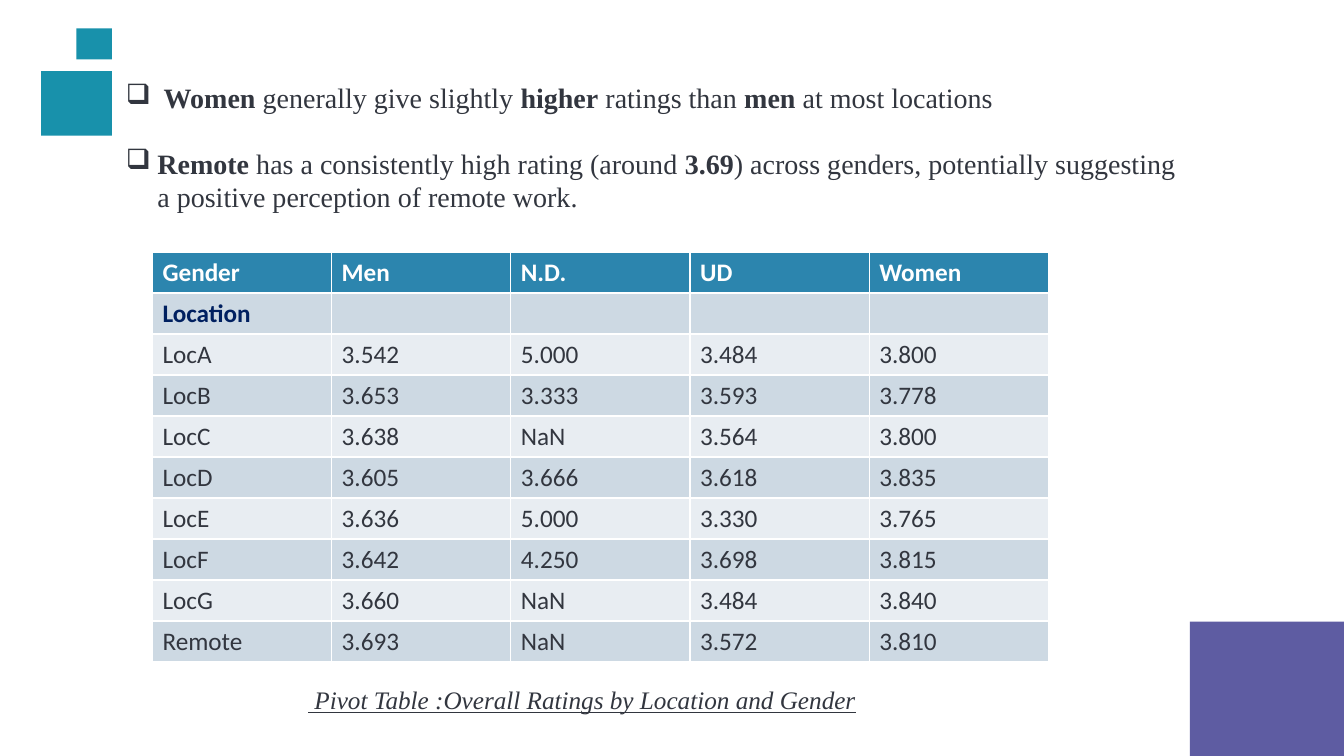
from lxml.etree import SubElement
from pptx import Presentation
from pptx.dml.color import RGBColor
from pptx.enum.shapes import MSO_SHAPE
from pptx.enum.text import MSO_ANCHOR
from pptx.oxml.ns import qn
from pptx.util import Pt

COLORS = {
    "teal": "1891AB",
    "purple": "5E5CA2",
    "header": "2C85AE",
    "dark band": "CDD9E3",
    "light band": "E8EDF2",
    "text": "32363F",
    "navy": "002060",
    "white": "FFFFFF",
}
SERIF, SANS = "Times New Roman", "Calibri"

FINDINGS = [
    (27, [("Women ", True), ("generally give slightly ", False), ("higher", True),
          (" ratings than ", False), ("men", True), (" at most locations", False)]),
    (22.5, [("Remote", True), (" has a consistently high rating (around ", False),
            ("3.69", True),
            (") across genders, potentially suggesting a positive perception of remote work.",
             False)]),
]
RATINGS = [
    ["Gender", "Men", "N.D.", "UD", "Women"],
    ["Location", "", "", "", ""],
    ["LocA", "3.542", "5.000", "3.484", "3.800"],
    ["LocB", "3.653", "3.333", "3.593", "3.778"],
    ["LocC", "3.638", "NaN", "3.564", "3.800"],
    ["LocD", "3.605", "3.666", "3.618", "3.835"],
    ["LocE", "3.636", "5.000", "3.330", "3.765"],
    ["LocF", "3.642", "4.250", "3.698", "3.815"],
    ["LocG", "3.660", "NaN", "3.484", "3.840"],
    ["Remote", "3.693", "NaN", "3.572", "3.810"],
]


def color(name):
    return RGBColor.from_string(COLORS[name])


def add_span(para, text, size, face, tint="text", bold=False):
    span = para.add_run()
    span.text = text
    span.font.size = Pt(size)
    span.font.name = face
    span.font.bold = bold
    span.font.color.rgb = color(tint)
    return span


def set_indent(para, margin, first_line=0):
    properties = para._p.get_or_add_pPr()
    properties.set("marL", str(Pt(margin)))
    properties.set("indent", str(Pt(first_line)))
    return properties


def add_text_frame(page, box):
    frame = page.shapes.add_textbox(*map(Pt, box)).text_frame
    frame.word_wrap = True
    return frame


def add_square(page, box, tint):
    square = page.shapes.add_shape(MSO_SHAPE.RECTANGLE, *map(Pt, box))
    square.shadow.inherit = False
    square.fill.solid()
    square.fill.fore_color.rgb = color(tint)
    square.line.fill.background()


def add_corner_squares(page, box):
    left, top, width, height = box
    large = height * 0.6
    small = height * 0.29
    add_square(page, (left, top + height - large, width, large), "teal")
    add_square(page, (left + width / 2, top, width / 2, small), "teal")


def add_findings(page, box):
    frame = add_text_frame(page, box)
    for index, (indent, spans) in enumerate(FINDINGS):
        para = frame.paragraphs[0] if index == 0 else frame.add_paragraph()
        properties = set_indent(para, indent, -indent)
        if index:
            para.space_before = Pt(23)
        SubElement(properties, qn("a:buChar")).set("char", "❑")
        for text, bold in spans:
            add_span(para, text, 20, SERIF, bold=bold)


def add_ratings_table(page, box):
    rows, columns = len(RATINGS), len(RATINGS[0])
    table = page.shapes.add_table(rows, columns, *map(Pt, box)).table
    for column in table.columns:
        column.width = Pt(box[2] / columns)
    for row_index, values in enumerate(RATINGS):
        table.rows[row_index].height = Pt(box[3] / rows)
        band = "dark band" if row_index % 2 else "light band"
        fill, tint = {0: ("header", "white"), 1: (band, "navy")}.get(row_index, (band, "text"))
        for column_index, value in enumerate(values):
            cell = table.cell(row_index, column_index)
            cell.fill.solid()
            cell.fill.fore_color.rgb = color(fill)
            cell.vertical_anchor = MSO_ANCHOR.TOP
            para = cell.text_frame.paragraphs[0]
            para.font.size = Pt(18)
            if value:
                add_span(para, value, 18, SANS, tint, row_index < 2)


def add_caption(page, box):
    para = add_text_frame(page, box).paragraphs[0]
    set_indent(para, 90)
    span = add_span(para, " Pivot Table :Overall Ratings by Location and Gender", 18, SERIF)
    span.font.italic = True
    span.font.underline = True


def main():
    deck = Presentation()
    deck.slide_width, deck.slide_height = Pt(960), Pt(540)
    page = deck.slides.add_slide(deck.slide_layouts[6])
    add_corner_squares(page, (29.3, 20.2, 50.6, 76.8))
    add_square(page, (850, 444, 110, 96), "purple")
    add_findings(page, (82.8, 54, 768, 152.6))
    add_ratings_table(page, (108.9, 180, 640, 293))
    add_caption(page, (123, 485.3, 569, 51))
    deck.save("out.pptx")


if __name__ == "__main__":
    main()
